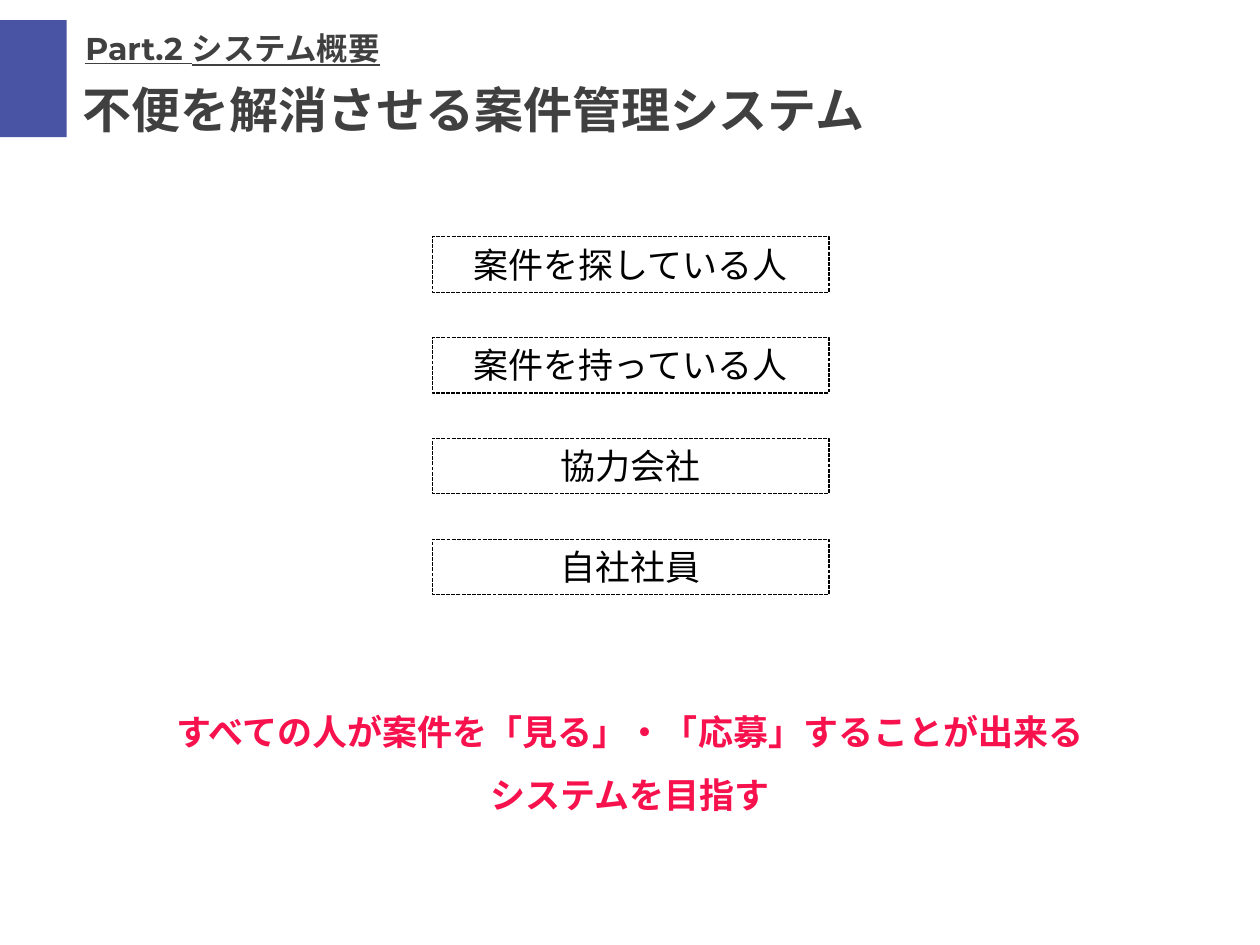
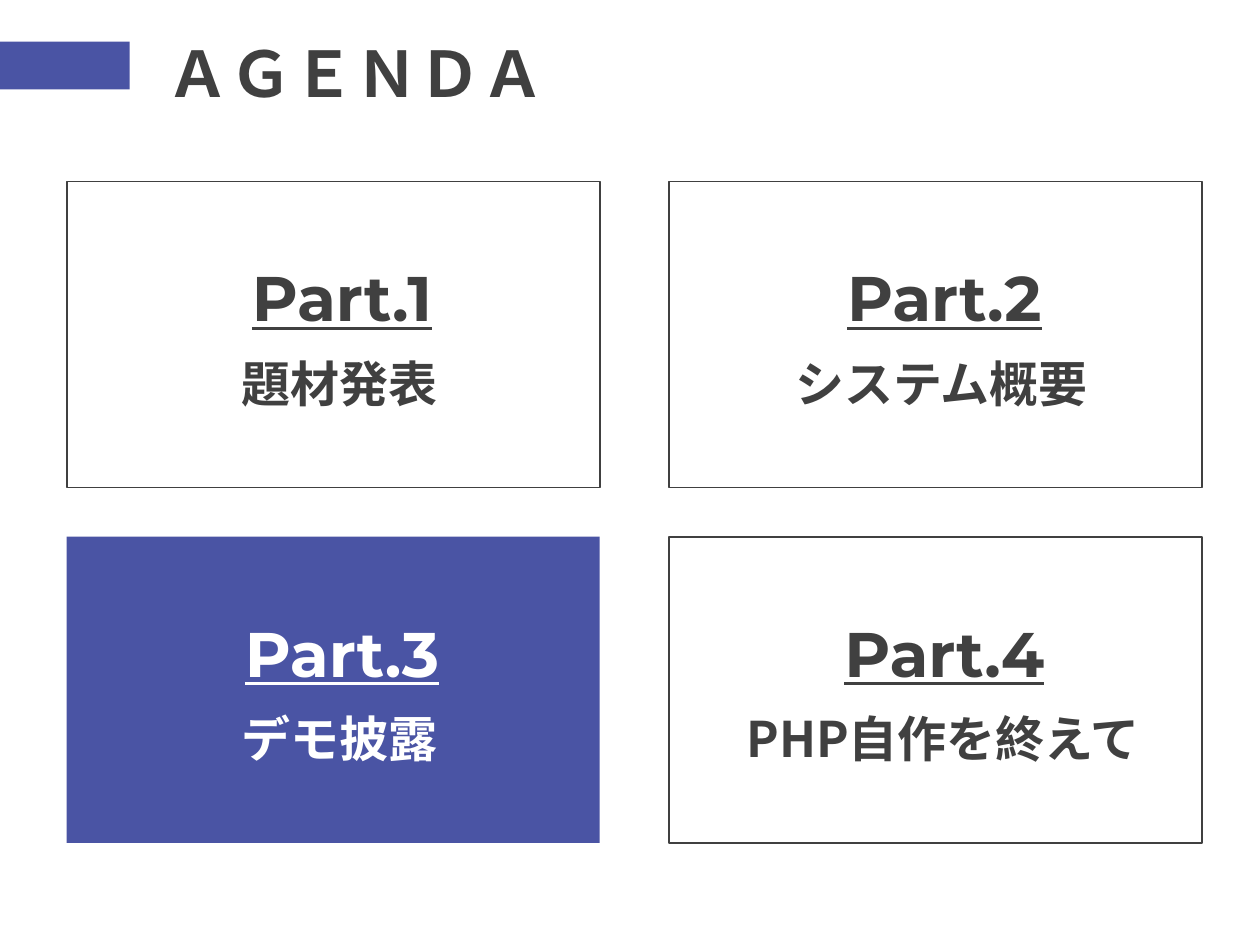
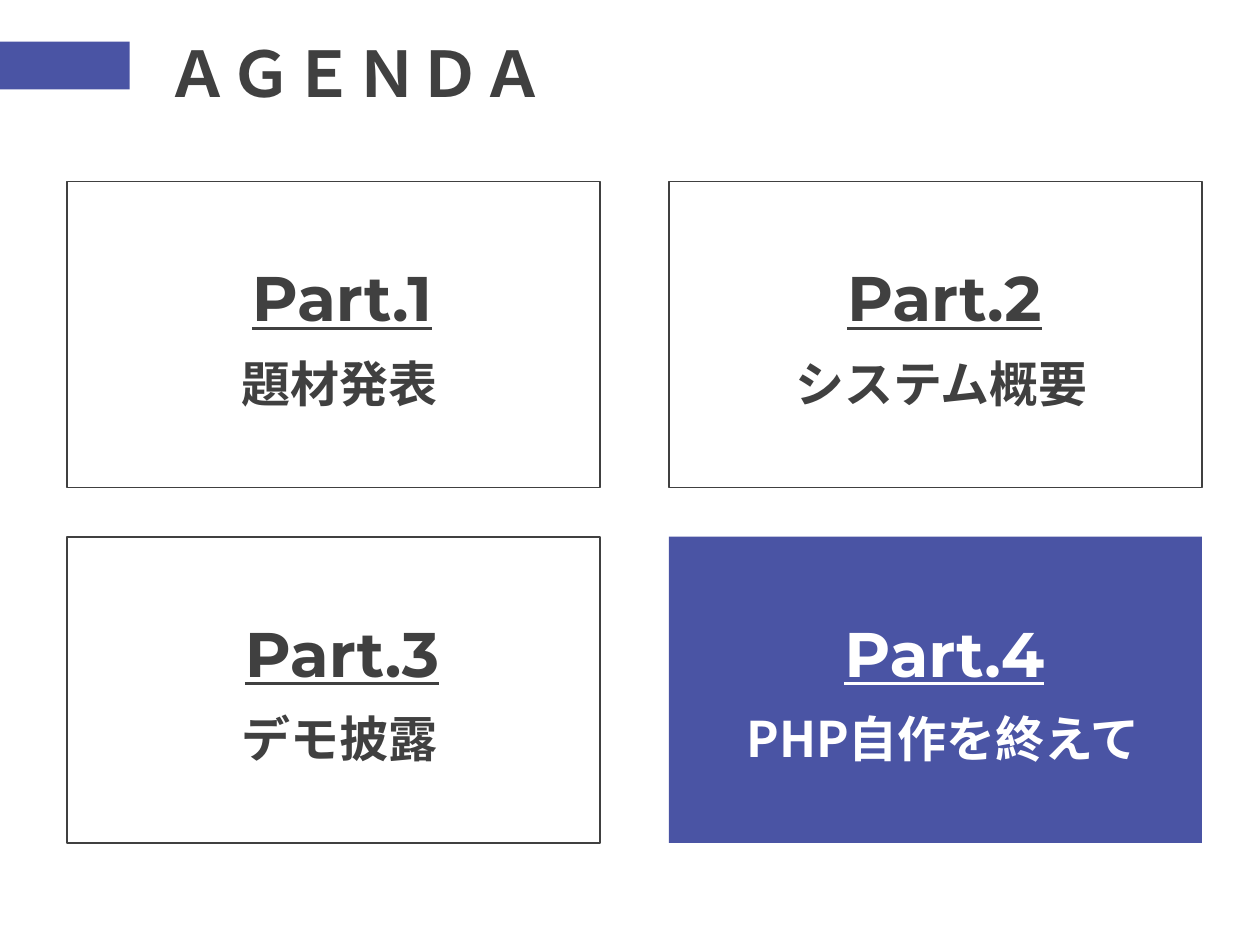
import dataclasses

import pptx
import pptx.dml.color
import pptx.enum.dml
import pptx.enum.shapes
import pptx.enum.text
import pptx.oxml.ns
import pptx.util
from pptx.util import Inches

ALIGN = pptx.enum.text.PP_ALIGN
ANCHOR = pptx.enum.text.MSO_ANCHOR
RECTANGLE = pptx.enum.shapes.MSO_SHAPE.RECTANGLE
DASH = pptx.enum.dml.MSO_LINE.SQUARE_DOT


@dataclasses.dataclass(frozen=True)
class Theme:
    accent: str = "4A54A4"
    ink: str = "404040"
    black: str = "000000"
    white: str = "FFFFFF"
    alert: str = "F7114D"
    latin: str = "Montserrat"
    japanese: str = "Noto Sans CJK JP"
    display: int = 36
    heading: int = 28
    body: int = 20
    label: int = 18


THEME = Theme()
DISPLAY = {"size": THEME.display, "name": THEME.japanese, "bold": True}
HEADING = {"size": THEME.heading, "name": THEME.japanese, "bold": True}
BODY = {"size": THEME.body, "name": THEME.japanese}
MESSAGE = {**BODY, "bold": True}
LABEL = {"size": THEME.label, "name": THEME.latin, "bold": True, "underline": True}
SPACER = {"size": THEME.display, "name": THEME.latin, "bold": True}
PART = {**SPACER, "underline": True}

AGENDA = ["題材発表", "システム概要", "デモ披露", "PHP自作を終えて"]
USERS = ["案件を探している人", "案件を持っている人", "協力会社", "自社社員"]
GOAL = ["すべての人が案件を「見る」・「応募」することが出来る", "システムを目指す"]


def rgb(color):
    return pptx.dml.color.RGBColor.from_string(color)


def add_run(p, text, style, color):
    r = p.add_run()
    r.text = text
    for key, value in style.items():
        setattr(r.font, key, pptx.util.Pt(value) if key == "size" else value)
    r.font.color.rgb = rgb(color)
    ea = r.font._element.makeelement(pptx.oxml.ns.qn("a:ea"), {"typeface": THEME.japanese})
    r.font._element.find(pptx.oxml.ns.qn("a:latin")).addnext(ea)


def write(sp, paragraphs, color, align=ALIGN.LEFT, anchor=ANCHOR.TOP, spacing=None):
    """Fill a shape with paragraphs, each a list of (text, style) runs."""
    tf = sp.text_frame
    frame_format = {
        "word_wrap": True,
        "auto_size": pptx.enum.text.MSO_AUTO_SIZE.SHAPE_TO_FIT_TEXT,
        "vertical_anchor": anchor,
    }
    for key, value in frame_format.items():
        setattr(tf, key, value)
    for i, runs in enumerate(paragraphs):
        p = tf.add_paragraph() if i else tf.paragraphs[0]
        p.alignment = align
        p.line_spacing = spacing
        for text, style in runs:
            add_run(p, text, style, color)


def add_text(slide, box, paragraphs, color, **layout):
    sp = slide.shapes.add_textbox(*map(Inches, box))
    write(sp, paragraphs, color, **layout)


def add_rect(slide, box, fill=None, line=None, width=1, dash=None):
    sp = slide.shapes.add_shape(RECTANGLE, *map(Inches, box))
    sp.shadow.inherit = False
    if fill:
        sp.fill.solid()
        sp.fill.fore_color.rgb = rgb(fill)
    else:
        sp.fill.background()
    if line:
        sp.line.color.rgb = rgb(line)
        sp.line.width = pptx.util.Pt(width)
        sp.line.dash_style = dash
    else:
        sp.line.fill.background()
    return sp


def add_section_header(slide, box, part, title):
    x, y, w, h = box
    add_rect(slide, (x, y, 0.56, h), fill=THEME.accent)
    add_text(slide, (x + 0.61, y + 0.02, 5.02, 0.4), [[(part, LABEL)]], THEME.ink)
    add_text(slide, (x + 0.59, y + 0.42, w - 0.59, 0.57), [[(title, HEADING)]],
             THEME.ink, anchor=ANCHOR.MIDDLE)


def add_user_list(slide, box, users):
    """Stack one dashed box per user group, evenly spaced over the height."""
    x, y, w, h = box
    row_h = 0.44
    pitch = (h - row_h) / (len(users) - 1)
    for i, user in enumerate(users):
        sp = add_rect(slide, (x, y + i * pitch, w, row_h),
                      line=THEME.black, width=0.75, dash=DASH)
        write(sp, [[(user, BODY)]], THEME.black, align=ALIGN.CENTER)


def add_agenda_title(slide, box):
    x, y, w, h = box
    add_rect(slide, (x, y + 0.11, 1.06, 0.38), fill=THEME.accent)
    add_text(slide, (x + 1.25, y, w - 1.25, h), [[("ＡＧＥＮＤＡ", DISPLAY)]],
             THEME.ink, anchor=ANCHOR.MIDDLE)


def add_agenda_card(slide, box, number, topic, active):
    x, y, w, h = box
    look = {"fill": THEME.accent} if active else {"line": THEME.ink}
    color = THEME.white if active else THEME.ink
    add_rect(slide, box, **look)
    for dx, dy, text, style in [(0, 0.56, f"Part.{number}", PART),
                                (-0.01, 1.2, topic, HEADING)]:
        add_text(slide, (x + dx, y + dy, w, 0.71), [[(" ", SPACER), (text, style)]],
                 color, align=ALIGN.CENTER, anchor=ANCHOR.MIDDLE)


def add_agenda_grid(slide, box, current):
    """Place the parts in two columns and fill the card of the current part."""
    x, y, w, h = box
    card_w, card_h = 4.23, 2.43
    for i, topic in enumerate(AGENDA):
        row, col = divmod(i, 2)
        card = (x + col * (w - card_w), y + row * (h - card_h), card_w, card_h)
        add_agenda_card(slide, card, i + 1, topic, i + 1 == current)


def build_overview_slide(slide):
    add_section_header(slide, (-0.03, 0.16, 8.9, 0.93), "Part.2 システム概要",
                       "不便を解消させる案件管理システム")
    add_user_list(slide, (3.43, 1.88, 3.15, 2.84), USERS)
    add_text(slide, (-0.02, 5.42, 10.04, 1.07), [[(line, MESSAGE)] for line in GOAL],
             THEME.alert, align=ALIGN.CENTER, spacing=1.5)


def build_agenda_slide(slide, current):
    add_agenda_grid(slide, (0.53, 1.44, 9.01, 5.25), current)
    add_agenda_title(slide, (-0.03, 0.22, 4.58, 0.71))


def main():
    prs = pptx.Presentation()
    prs.slide_width, prs.slide_height = Inches(10), Inches(7.5)
    blank = prs.slide_layouts[6]
    build_overview_slide(prs.slides.add_slide(blank))
    for current in (3, 4):
        build_agenda_slide(prs.slides.add_slide(blank), current)
    prs.save("out.pptx")


if __name__ == "__main__":
    main()
